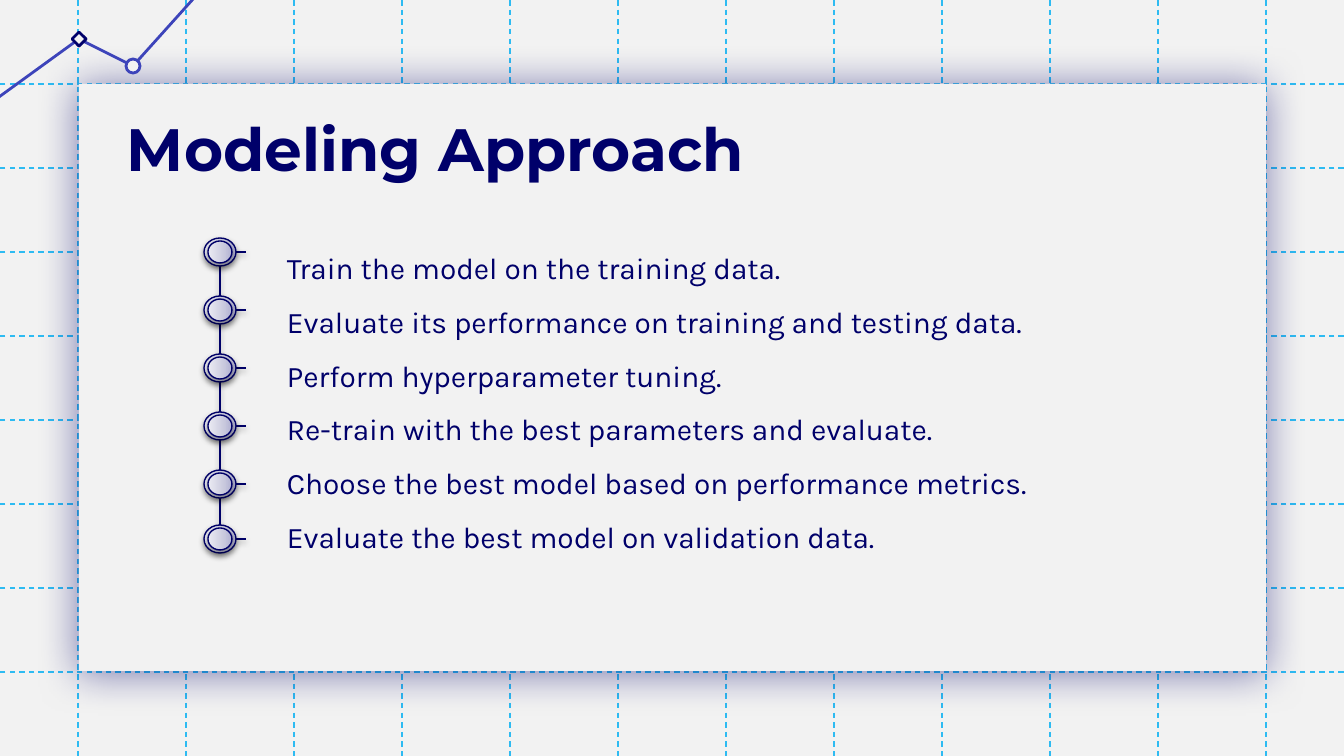
from itertools import pairwise

from lxml.etree import SubElement
from pptx import Presentation
from pptx.dml.color import RGBColor
from pptx.enum.dml import MSO_LINE
from pptx.enum.shapes import MSO_CONNECTOR, MSO_SHAPE
from pptx.enum.text import MSO_ANCHOR, MSO_AUTO_SIZE, PP_ALIGN
from pptx.oxml import parse_xml
from pptx.oxml.ns import nsdecls, qn
from pptx.util import Pt

EMU_PER_PX = 914400 / 134.4
SLIDE_WIDTH, SLIDE_HEIGHT = 1344, 756

PAPER = RGBColor(0xF2, 0xF2, 0xF2)
NAVY = RGBColor(0x00, 0x00, 0x6A)
NODE_LINE = RGBColor(0x00, 0x00, 0x68)
GRID_BLUE = RGBColor(0x2E, 0xBB, 0xF2)
TREND_BLUE = RGBColor(0x3D, 0x44, 0xBA)
BLACK = RGBColor(0x00, 0x00, 0x00)
NODE_GRADIENT = (
    (0, RGBColor(0xB2, 0xB2, 0xD2)),
    (35, RGBColor(0xCA, 0xCA, 0xDE)),
    (100, RGBColor(0xEB, 0xEB, 0xF3)),
)

PANEL_SHADOW = (NAVY, 50, 22.5, 1.5)
NODE_SHADOW = (BLACK, 38, 3.1, 1.6)

TREND_POINTS = [(-128, 181), (-55, 95), (-12, 105), (79, 39), (133, 66),
                (204, -13), (278, -11), (380, -60), (433, -149)]
NODE_X = 220
NODE_CENTERS = [252, 310, 368, 426, 484, 539]
NODE_SIZES = [(28, 32), (22, 24)]
STEPS = [
    "Train the model on the training data.",
    "Evaluate its performance on training and testing data.",
    "Perform hyperparameter tuning.",
    "Re-train with the best parameters and evaluate.",
    "Choose the best model based on performance metrics.",
    "Evaluate the best model on validation data.",
]


def px(length):
    return round(length * EMU_PER_PX)


def set_effects(shape, shadow=None):
    effects = SubElement(shape.element.spPr, qn("a:effectLst"))
    if shadow:
        color, opacity, blur, distance = shadow
        effects.append(parse_xml(
            f'<a:outerShdw {nsdecls("a")} blurRad="{Pt(blur)}" dist="{Pt(distance)}" '
            f'dir="5400000" algn="bl" rotWithShape="0"><a:srgbClr val="{color}">'
            f'<a:alpha val="{opacity * 1000}"/></a:srgbClr></a:outerShdw>'))


def set_line(shape, color, width):
    shape.line.color.rgb = color
    shape.line.width = Pt(width)


def add_line(slide, start, end, color, dash=None, shadow=None):
    line = slide.shapes.add_connector(
        MSO_CONNECTOR.STRAIGHT, *(px(value) for value in (*start, *end)))
    set_line(line, color, 0.75)
    if dash:
        line.line.dash_style = dash
    set_effects(line, shadow)


def add_solid(slide, kind, box, line_color=None, shadow=None):
    shape = slide.shapes.add_shape(kind, *(px(value) for value in box))
    shape.fill.solid()
    shape.fill.fore_color.rgb = PAPER
    if line_color:
        set_line(shape, line_color, 1.5)
    else:
        shape.line.fill.background()
    set_effects(shape, shadow)


def add_grid(slide):
    for column in range(12):
        x = 78 + 108 * column
        add_line(slide, (x, 0), (x, SLIDE_HEIGHT), GRID_BLUE, MSO_LINE.DASH)
    for row in range(1, 9):
        y = 84 * row
        add_line(slide, (SLIDE_WIDTH, y), (0, y), GRID_BLUE, MSO_LINE.DASH)


def add_trend(slide):
    points = [(px(x), px(y)) for x, y in TREND_POINTS]
    builder = slide.shapes.build_freeform(*points[0])
    builder.add_line_segments(points[1:], close=False)
    trend = builder.convert_to_shape()
    trend.fill.background()
    set_line(trend, TREND_BLUE, 1.5)
    set_effects(trend)
    add_solid(slide, MSO_SHAPE.OVAL, (126, 59, 14, 14), TREND_BLUE)
    add_solid(slide, MSO_SHAPE.DIAMOND, (72, 32, 14, 14), NAVY)


def add_node_ring(slide, center_y, width, height):
    ring = slide.shapes.add_shape(
        MSO_SHAPE.OVAL, px(NODE_X - width / 2), px(center_y - height / 2),
        px(width), px(height))
    ring.rotation = 270
    ring.fill.gradient()
    ring.fill.gradient_angle = 90
    stops = ring.element.spPr.find(qn("a:gradFill")).find(qn("a:gsLst"))
    stops.clear()
    for position, color in NODE_GRADIENT:
        stop = SubElement(stops, qn("a:gs"), pos=str(position * 1000))
        SubElement(stop, qn("a:srgbClr"), val=str(color))
    set_line(ring, NODE_LINE, 0.75)
    set_effects(ring, NODE_SHADOW)


def add_timeline(slide):
    for upper, lower in pairwise(NODE_CENTERS):
        add_line(slide, (NODE_X, lower - 14), (NODE_X, upper + 14),
                 NODE_LINE, shadow=NODE_SHADOW)
    for center_y in NODE_CENTERS:
        add_line(slide, (235, center_y), (246, center_y),
                 NODE_LINE, shadow=NODE_SHADOW)
        for width, height in NODE_SIZES:
            add_node_ring(slide, center_y, width, height)


def format_frame(text_frame, anchor):
    text_frame.word_wrap = True
    text_frame.auto_size = MSO_AUTO_SIZE.NONE
    text_frame.vertical_anchor = anchor
    text_frame.margin_left = text_frame.margin_right = px(13)
    text_frame.margin_top = text_frame.margin_bottom = px(13)


def format_paragraph(paragraph, font_name, size, bold=False):
    paragraph.alignment = PP_ALIGN.LEFT
    for run in paragraph.runs:
        run.font.name = font_name
        run.font.size = Pt(size)
        run.font.bold = bold
        run.font.color.rgb = NAVY


def place_title(slide):
    title = slide.shapes.title
    title.left, title.top, title.width, title.height = map(px, (114, 126, 1159, 71))
    title.text_frame.text = "Modeling Approach"
    format_frame(title.text_frame, MSO_ANCHOR.BOTTOM)
    format_paragraph(title.text_frame.paragraphs[0], "Montserrat", 32, True)
    title.element.getparent().append(title.element)


def add_steps(slide):
    text_box = slide.shapes.add_textbox(*map(px, (254, 219, 837, 55)))
    text_frame = text_box.text_frame
    text_frame.text = "\n".join(STEPS)
    format_frame(text_frame, MSO_ANCHOR.TOP)
    for paragraph in text_frame.paragraphs:
        format_paragraph(paragraph, "Karla", 16)
        paragraph.line_spacing = 1.5
        properties = paragraph._p.get_or_add_pPr()
        properties.set("marL", str(px(20)))
        properties.set("indent", "0")


def main():
    presentation = Presentation()
    presentation.slide_width = px(SLIDE_WIDTH)
    presentation.slide_height = px(SLIDE_HEIGHT)
    slide = presentation.slides.add_slide(presentation.slide_layouts[5])
    slide.background.fill.solid()
    slide.background.fill.fore_color.rgb = PAPER
    add_grid(slide)
    add_solid(slide, MSO_SHAPE.RECTANGLE, (79, 84, 1187, 587), shadow=PANEL_SHADOW)
    add_trend(slide)
    place_title(slide)
    add_timeline(slide)
    add_steps(slide)
    presentation.save("out.pptx")


if __name__ == "__main__":
    main()
